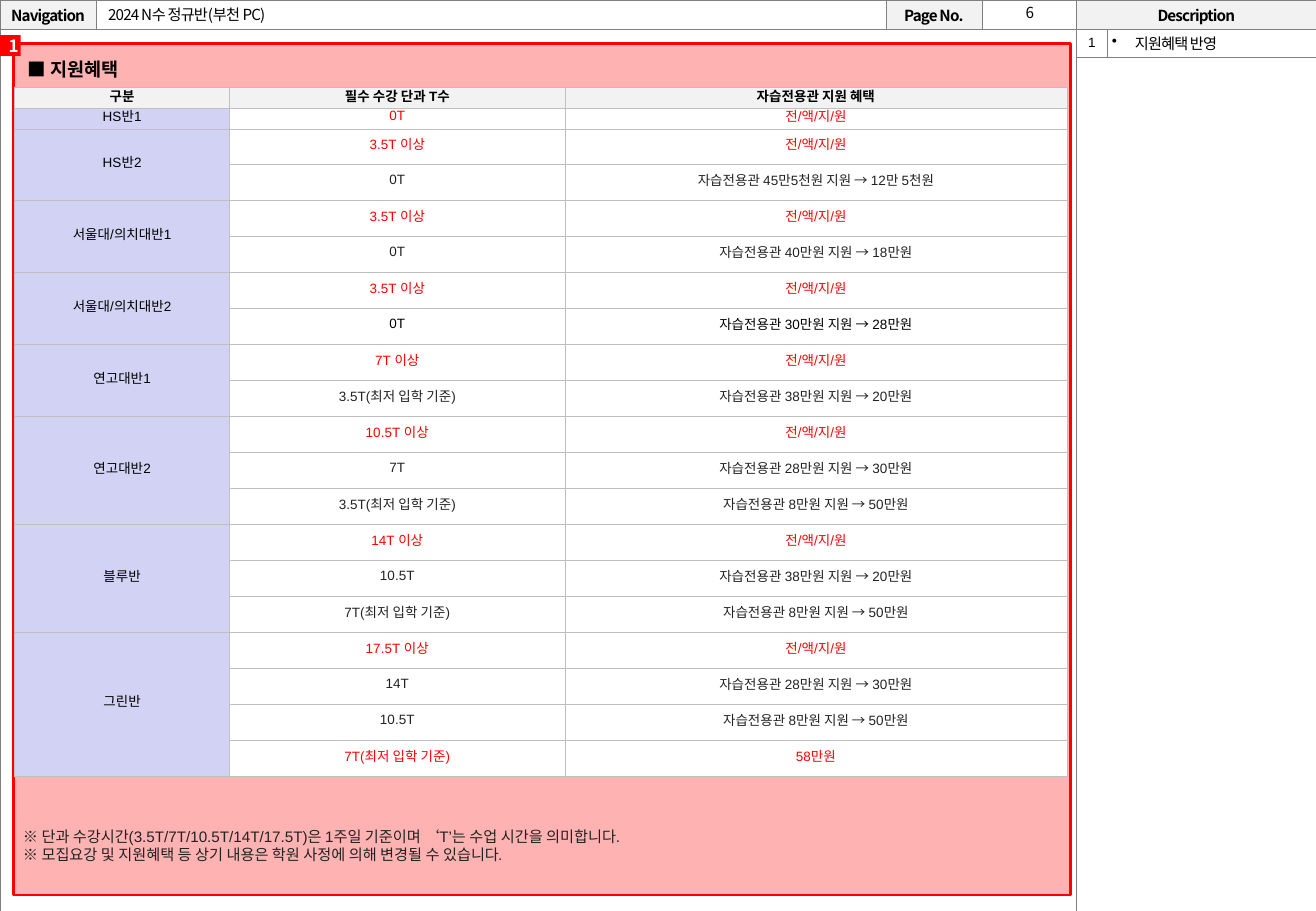
from dataclasses import dataclass
from typing import NamedTuple, Optional

from lxml.etree import SubElement
from pptx import Presentation
from pptx.dml.color import RGBColor
from pptx.enum.shapes import MSO_SHAPE
from pptx.enum.text import MSO_ANCHOR, MSO_AUTO_SIZE, PP_ALIGN
from pptx.oxml.ns import qn
from pptx.util import Inches, Pt

GRID_CELL = Inches(0.01)
SLIDE_COLS, SLIDE_ROWS = 1083, 750
COLORS = {
    "ink": "000000", "body": "222222", "accent": "FF0000", "paper": "FFFFFF",
    "heading": "F2F2F2", "class": "D2D2F4", "frame": "808080", "rule": "BFBFBF",
}
ARIAL, NOTO = "Arial", "Noto Sans CJK KR"
FULL_SUPPORT = "전/액/지/원"


class Area(NamedTuple):
    """A place on the grid, in grid cells."""
    col: float
    row: float
    cols: float
    rows: float


class Margins(NamedTuple):
    side: float
    edge: float


NO_MARGINS, NORMAL, ROOMY, TIGHT = Margins(0, 0), Margins(10, 5), Margins(21, 11), Margins(4, 4)


@dataclass(frozen=True)
class Style:
    size: float
    font: str = ARIAL
    color: str = "ink"
    bold: bool = False
    spacing: int = 0
    align: PP_ALIGN = PP_ALIGN.CENTER
    line: Optional[float] = None
    bullet: bool = False


class Tier(NamedTuple):
    hours: str
    benefit: str = FULL_SUPPORT
    color: str = "accent"


def support(hours: str, amount: str, rest: str, color: str = "body") -> Tier:
    return Tier(hours, f"자습전용관 {amount} 지원 → {rest}", color)


LOWEST = "(최저 입학 기준)"
CLASSES = {
    "HS반1": [Tier("0T")],
    "HS반2": [Tier("3.5T 이상"), support("0T", "45만5천원", "12만 5천원")],
    "서울대/의치대반1": [Tier("3.5T 이상"), support("0T", "40만원", "18만원")],
    "서울대/의치대반2": [Tier("3.5T 이상"), support("0T", "30만원", "28만원", "ink")],
    "연고대반1": [Tier("7T 이상"), support("3.5T" + LOWEST, "38만원", "20만원")],
    "연고대반2": [Tier("10.5T 이상"), support("7T", "28만원", "30만원"),
              support("3.5T" + LOWEST, "8만원", "50만원")],
    "블루반": [Tier("14T 이상"), support("10.5T", "38만원", "20만원"),
            support("7T" + LOWEST, "8만원", "50만원")],
    "그린반": [Tier("17.5T 이상"), support("14T", "28만원", "30만원"),
            support("10.5T", "8만원", "50만원"), Tier("7T" + LOWEST, "58만원")],
}


def grid(cells: float) -> int:
    return round(cells * GRID_CELL)


def rgb(name: str) -> RGBColor:
    return RGBColor.from_string(COLORS[name])


def write(frame, text: str, style: Style) -> None:
    frame.text = text
    for paragraph in frame.paragraphs:
        paragraph.alignment = style.align
        if style.line:
            paragraph.line_spacing = style.line
        properties = paragraph._p.get_or_add_pPr()
        if style.bullet:
            properties.set("marL", str(grid(19)))
            properties.set("indent", str(-grid(19)))
            SubElement(properties, qn("a:buChar"), char="•")
        font = paragraph.font
        font.size, font.bold, font.name = Pt(style.size), style.bold, style.font
        font.color.rgb = rgb(style.color)
        defaults = properties.get_or_add_defRPr()
        SubElement(defaults, qn("a:ea"), typeface=NOTO)
        if style.spacing:
            defaults.set("spc", str(style.spacing))
        if not text:
            paragraph._p.get_or_add_endParaRPr().set("sz", str(round(style.size * 100)))


def fill_cell(cell, text: str, style: Style, fill: str, border: str, margins: Margins) -> None:
    cell.margin_left = cell.margin_right = grid(margins.side)
    cell.margin_top = cell.margin_bottom = grid(margins.edge)
    cell.vertical_anchor = MSO_ANCHOR.MIDDLE
    properties = cell._tc.get_or_add_tcPr()
    for side in ("lnL", "lnR", "lnT", "lnB"):
        line = SubElement(properties, qn(f"a:{side}"), w=str(Pt(0.25)))
        SubElement(SubElement(line, qn("a:solidFill")), qn("a:srgbClr"), val=COLORS[border])
    cell.fill.solid()
    cell.fill.fore_color.rgb = rgb(fill)
    write(cell.text_frame, text, style)


def add_grid_table(slide, col: float, row: float, widths: list[float], heights: list[float]):
    holder = slide.shapes.add_table(len(heights), len(widths), grid(col), grid(row),
                                    grid(sum(widths)), grid(sum(heights)))
    table = holder.table
    table.first_row = table.horz_banding = False
    for column, width in zip(table.columns, widths):
        column.width = grid(width)
    for table_row, height in zip(table.rows, heights):
        table_row.height = grid(height)
    return holder


def add_text(slide, area: Area, text: str, style: Style) -> None:
    frame = slide.shapes.add_textbox(*map(grid, area)).text_frame
    frame.word_wrap = True
    frame.auto_size = MSO_AUTO_SIZE.SHAPE_TO_FIT_TEXT
    write(frame, text, style)


def add_red_box(slide, area: Area):
    box = slide.shapes.add_shape(MSO_SHAPE.RECTANGLE, *map(grid, area))
    box.shadow.inherit = False
    box.fill.solid()
    box.fill.fore_color.rgb = rgb("accent")
    return box


def add_page_frame(slide):
    holder = add_grid_table(slide, 0, 0, [79, 650, 79, 78, 197], [24, 726])
    table = holder.table
    label = Style(9, NOTO, bold=True, spacing=-50)
    for index, text in enumerate(["Navigation", "", "Page No.", "", "Description"]):
        fill_cell(table.cell(0, index), text, label, "heading" if text else "paper",
                  "frame", NO_MARGINS)
        fill_cell(table.cell(1, index), "", label, "paper", "frame", NO_MARGINS)
    table.cell(1, 0).merge(table.cell(1, 3))
    return holder


def add_benefits(slide) -> None:
    tiers = sum(map(len, CLASSES.values()))
    low = 17
    tall = (567 - 2 * low) / (tiers - 1)
    table = add_grid_table(slide, 12, 72, [177, 276, 413],
                           [low, low] + [tall] * (tiers - 1)).table
    for col, heading in enumerate(["구분", "필수 수강 단과 T수", "자습전용관 지원 혜택"]):
        fill_cell(table.cell(0, col), heading, Style(8, bold=True, line=0.5),
                  "heading", "rule", NORMAL)
    row = 1
    for name, class_tiers in CLASSES.items():
        first = row
        for tier in class_tiers:
            fill_cell(table.cell(row, 0), name if row == first else "",
                      Style(8, line=0.5), "class", "rule", NORMAL)
            for col, text in enumerate([tier.hours, tier.benefit], 1):
                fill_cell(table.cell(row, col), text, Style(8, color=tier.color, line=0.5),
                          "paper", "rule", NORMAL if row == 1 else ROOMY)
            row += 1
        if row - first > 1:
            table.cell(first, 0).merge(table.cell(row - 1, 0))


def main() -> None:
    deck = Presentation()
    deck.slide_width, deck.slide_height = grid(SLIDE_COLS), grid(SLIDE_ROWS)
    slide = deck.slides.add_slide(deck.slide_layouts[5])

    page_frame = add_page_frame(slide)
    title = slide.shapes.title
    page_frame._element.addnext(title._element)
    title.left, title.top, title.width, title.height = map(grid, Area(79, 0, 652, 23))
    title.text_frame.auto_size = MSO_AUTO_SIZE.NONE
    title.text_frame.vertical_anchor = MSO_ANCHOR.MIDDLE
    write(title.text_frame, "2024 N수 정규반(부천 PC)",
          Style(9, NOTO, spacing=-50, align=PP_ALIGN.LEFT))
    add_text(slide, Area(809, -2, 77, 25), "6", Style(9, NOTO, spacing=-50))

    highlight = add_red_box(slide, Area(11, 36, 870, 701))
    highlight.line.color.rgb = rgb("accent")
    highlight.line.width = Pt(1.5)
    tint = highlight.fill._xPr.find(qn("a:solidFill")).find(qn("a:srgbClr"))
    SubElement(tint, qn("a:alpha"), val="30000")

    description = add_grid_table(slide, 886, 24, [25, 172], [23]).table
    fill_cell(description.cell(0, 0), "1", Style(8, spacing=-100, line=0.9),
              "paper", "frame", TIGHT)
    fill_cell(description.cell(0, 1), "지원혜택 반영",
              Style(9, spacing=-50, align=PP_ALIGN.LEFT, line=0.9, bullet=True),
              "paper", "frame", TIGHT)

    badge = add_red_box(slide, Area(0, 29, 17, 17))
    badge.line.fill.background()
    badge.text_frame.vertical_anchor = MSO_ANCHOR.MIDDLE
    write(badge.text_frame, "1", Style(10, NOTO, "paper", bold=True))

    add_text(slide, Area(13, 43, 293, 29), "■ 지원혜택",
             Style(11, bold=True, align=PP_ALIGN.LEFT))
    add_benefits(slide)
    add_text(slide, Area(9, 676, 865, 40),
             "※ 단과 수강시간(3.5T/7T/10.5T/14T/17.5T)은 1주일 기준이며 ‘T’는 수업 시간을 의미합니다.\n"
             "※ 모집요강 및 지원혜택 등 상기 내용은 학원 사정에 의해 변경될 수 있습니다.",
             Style(9, color="body", align=PP_ALIGN.LEFT))
    deck.save("out.pptx")


if __name__ == "__main__":
    main()
